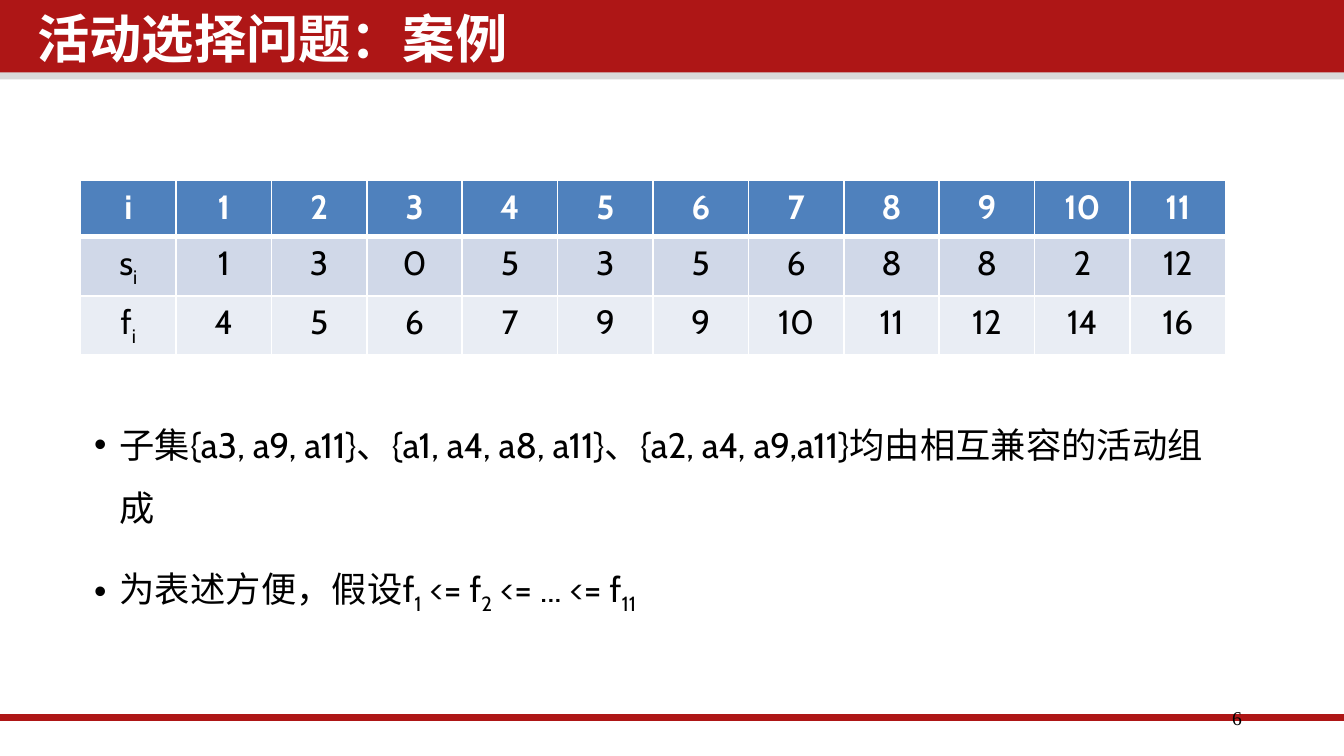
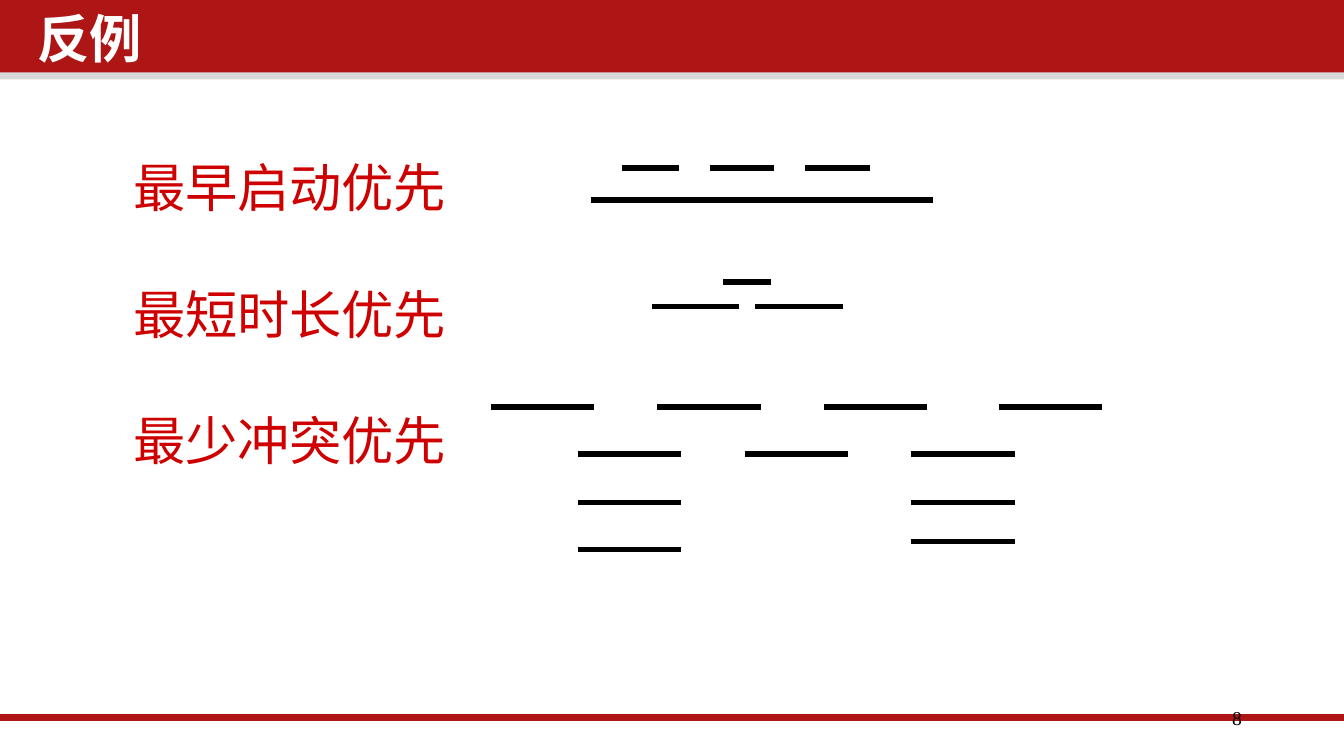
import lxml.etree
import pptx
import pptx.dml.color
import pptx.enum.shapes
import pptx.enum.text
import pptx.oxml.ns
import pptx.util

RED = pptx.dml.color.RGBColor(0xAE, 0x16, 0x16)
TEXT_RED = pptx.dml.color.RGBColor(0xCE, 0x00, 0x00)
GRAY = pptx.dml.color.RGBColor(0xD9, 0xD9, 0xD9)
WHITE = pptx.dml.color.RGBColor(0xFF, 0xFF, 0xFF)
BLACK = pptx.dml.color.RGBColor(0x00, 0x00, 0x00)
HEADER_BLUE = pptx.dml.color.RGBColor(0x4F, 0x81, 0xBD)
ROW_BLUE = pptx.dml.color.RGBColor(0xD0, 0xD8, 0xE8)
ROW_PALE = pptx.dml.color.RGBColor(0xE9, 0xED, 0xF4)

CABIN = "Cabin"
NOTO = "Noto Sans CJK SC"
TIMES = "Times New Roman"
ALIGN = pptx.enum.text.PP_ALIGN
SCALE = 9144
WIDTH = 1000


def px(length):
    return pptx.util.Emu(length * SCALE)


def add_child(parent, tag, **attributes):
    return lxml.etree.SubElement(parent, pptx.oxml.ns.qn(tag), attributes)


class SlideBuilder:
    def __init__(self, deck):
        self.deck = deck
        self.page = None

    def start(self, title, number):
        self.page = self.deck.slides.add_slide(self.deck.slide_layouts[1])
        self.band(50, 9, GRAY)
        self.band(0, 54, RED)
        self.line(0, WIDTH, 534, RED, 4)
        self.number(number)
        frame = self.place(self.page.shapes.title, 21, 6, 764, 59, (7, 4, 7, 4))
        para = frame.paragraphs[0]
        self.format(para, ALIGN.LEFT, 0.9)
        self.span(para, title, NOTO, 28, WHITE, bold=True)

    def place(self, box, left, top, width, height, insets):
        box.left, box.top, box.width, box.height = map(px, (left, top, width, height))
        box.element.getparent().append(box.element)
        frame = box.text_frame
        frame.word_wrap = True
        frame.auto_size = pptx.enum.text.MSO_AUTO_SIZE.NONE
        frame.vertical_anchor = pptx.enum.text.MSO_ANCHOR.TOP
        (frame.margin_left, frame.margin_top,
         frame.margin_right, frame.margin_bottom) = map(px, insets)
        return frame

    def format(self, para, align, spacing=1.0, before=0, margin=0, indent=0, bullet=None):
        para.alignment = align
        para.line_spacing = spacing
        para.space_before = pptx.util.Pt(before)
        para.space_after = pptx.util.Pt(0)
        properties = para._p.get_or_add_pPr()
        properties.set("marL", str(px(margin)))
        properties.set("indent", str(px(indent)))
        if bullet:
            add_child(properties, "a:buFont", typeface="Arial")
            add_child(properties, "a:buChar", char=bullet)
        else:
            add_child(properties, "a:buNone")

    def span(self, para, text, font, size, color, bold=False, subscript=False):
        span = para.add_run()
        span.text = text
        span.font.name = font
        span.font.size = pptx.util.Pt(size)
        span.font.bold = bold
        span.font.color.rgb = color
        properties = span._r.get_or_add_rPr()
        add_child(properties, "a:ea", typeface=font)
        if subscript:
            properties.set("baseline", "-25000")

    def band(self, top, height, color):
        box = self.page.shapes.add_shape(
            pptx.enum.shapes.MSO_SHAPE.RECTANGLE, 0, px(top), px(WIDTH), px(height))
        box.shadow.inherit = False
        box.fill.solid()
        box.fill.fore_color.rgb = color
        box.line.fill.background()

    def line(self, start, end, top, color=BLACK, weight=3):
        line = self.page.shapes.add_connector(
            pptx.enum.shapes.MSO_CONNECTOR.STRAIGHT, px(start), px(top), px(end), px(top))
        line.line.color.rgb = color
        line.line.width = pptx.util.Pt(weight)
        add_child(line.element.spPr, "a:effectLst")

    def number(self, number):
        box = self.page.shapes.add_textbox(0, 0, 0, 0)
        frame = self.place(box, 706, 521, 225, 30, (7, 4, 7, 4))
        para = frame.paragraphs[0]
        self.format(para, ALIGN.RIGHT)
        self.span(para, str(number), TIMES, 10.5, BLACK)

    def body(self, items, bounds, insets, font, size, color, before, **layout):
        frame = self.place(self.page.placeholders[1], *bounds, insets)
        for index, item in enumerate(items):
            para = frame.paragraphs[0] if index == 0 else frame.add_paragraph()
            self.format(para, ALIGN.LEFT, before=before if index else 0, **layout)
            self.spans(para, item, font, size, color)

    def spans(self, para, texts, font, size, color, bold=False):
        for index, text in enumerate(texts):
            self.span(para, text, font, size, color, bold, subscript=index % 2 == 1)

    def table(self, rows, left, top, column_width, row_height):
        columns = len(rows[0])
        table = self.page.shapes.add_table(
            len(rows), columns, px(left), px(top),
            px(column_width * columns), px(row_height * len(rows))).table
        fills = (HEADER_BLUE, ROW_BLUE, ROW_PALE)
        for row_index, (row, fill) in enumerate(zip(rows, fills)):
            header = row_index == 0
            for column_index, texts in enumerate(row):
                cell = table.cell(row_index, column_index)
                self.borders(cell, 3 if row_index == 1 else 1, 3 if header else 1)
                cell.fill.solid()
                cell.fill.fore_color.rgb = fill
                para = cell.text_frame.paragraphs[0]
                para.alignment = ALIGN.CENTER
                self.spans(para, texts, CABIN, 18, WHITE if header else BLACK, header)

    def borders(self, cell, top, bottom):
        properties = cell._tc.get_or_add_tcPr()
        for side, weight in (("L", 1), ("R", 1), ("T", top), ("B", bottom)):
            border = add_child(properties, f"a:ln{side}", w=str(pptx.util.Pt(weight)))
            fill = add_child(border, "a:solidFill")
            add_child(fill, "a:srgbClr", val=str(WHITE))


def build_example(builder):
    builder.start("活动选择问题：案例", 6)
    starts = (1, 3, 0, 5, 3, 5, 6, 8, 8, 2, 12)
    finishes = (4, 5, 6, 7, 9, 9, 10, 11, 12, 14, 16)
    rows = [
        [label] + [(str(value),) for value in values]
        for label, values in (
            (("i",), range(1, 12)), (("s", "i"), starts), (("f", "i"), finishes))
    ]
    builder.table(rows, left=60, top=134, column_width=71, row_height=42)
    items = (
        ("子集{a3, a9, a11}、{a1, a4, a8, a11}、{a2, a4, a9,a11}均由相互兼容的活动组成",),
        ("为表述方便，假设f", "1", " <= f", "2", " <= ... <= f", "11"),
    )
    builder.body(items, (60, 294, 862, 173), (10, 5, 10, 5), CABIN, 18.9, BLACK,
                 before=7.5, spacing=1.5, margin=19, indent=-19, bullet="•")


def build_counterexamples(builder):
    builder.start("反例", 8)
    strategies = (("最早启动优先",), ("最短时长优先",), ("最少冲突优先",))
    builder.body(strategies, (69, 112, 862, 357), (7, 9, 7, 4), NOTO, 28, TEXT_RED,
                 before=37.4, spacing=0.9, margin=23)
    activities = (
        (125, 42, (463,)),
        (125, 48, (528, 599)),
        (149, 254, (440,)),
        (210, 36, (538,)),
        (228, 65, (485, 562)),
        (303, 77, (365, 489, 613, 743)),
        (338, 77, (430, 554, 678)),
        (374, 77, (430, 678)),
        (403, 77, (678,)),
        (409, 77, (430,)),
    )
    for top, length, starts in activities:
        for start in starts:
            builder.line(start, start + length, top)


def main():
    deck = pptx.Presentation()
    deck.slide_width = px(WIDTH)
    deck.slide_height = pptx.util.Emu(px(WIDTH) * 9 // 16)
    builder = SlideBuilder(deck)
    build_example(builder)
    build_counterexamples(builder)
    deck.save("out.pptx")


if __name__ == "__main__":
    main()
